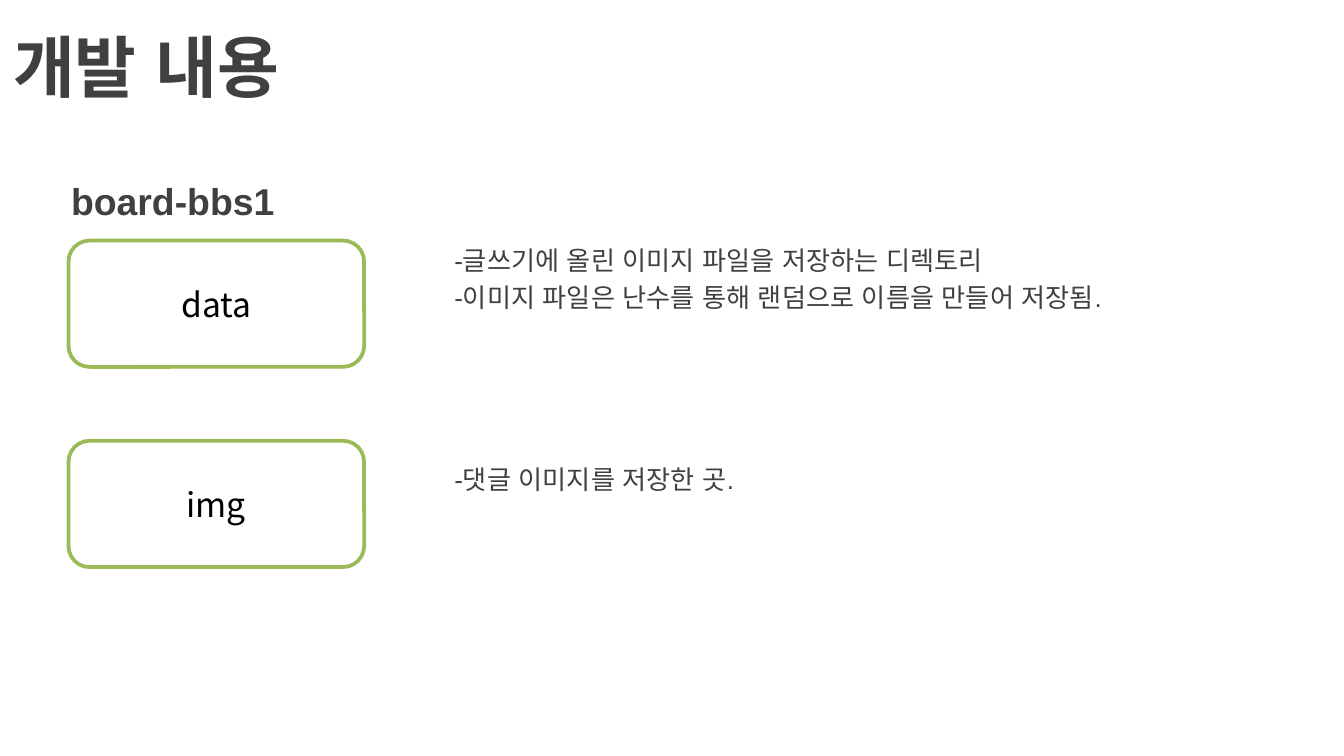
from dataclasses import dataclass

from lxml import etree
from pptx import Presentation
from pptx.dml.color import RGBColor
from pptx.enum import shapes, text
from pptx.oxml import ns
from pptx.util import Inches, Pt

GRAY = RGBColor(0x40, 0x40, 0x40)
GREEN = RGBColor(0x9B, 0xBB, 0x59)
WHITE = RGBColor(0xFF, 0xFF, 0xFF)
BLACK = RGBColor(0, 0, 0)
HEADING_FONT = "Arial"
BOX_FONT = "Noto Sans CJK KR"
SLIDE_WIDTH = Inches(10)
SLIDE_HEIGHT = SLIDE_WIDTH * 9 // 16
BOX_TOP, BOX_PITCH = 1.79, 1.49
NOTE_GAP = 2.8


@dataclass
class Directory:
    name: str
    notes: list[str]
    space_before: float


DIRECTORIES = [
    Directory("data", ["-글쓰기에 올린 이미지 파일을 저장하는 디렉토리",
                       "-이미지 파일은 난수를 통해 랜덤으로 이름을 만들어 저장됨."], 0),
    Directory("img", ["-댓글 이미지를 저장한 곳."], 81),
]


def style(p, size: float, color: RGBColor, font: str, bold: bool = False) -> None:
    """Format every run, using one font for Latin and Korean letters."""
    for r in p.runs:
        r.font.size, r.font.bold, r.font.name = Pt(size), bold, font
        r.font.color.rgb = color
        rpr = r.font._element
        rpr.set("lang", "ko-KR")
        etree.SubElement(rpr, ns.qn("a:ea")).set("typeface", font)


def add_text_box(s, left: float, top: float, width: float, height: float):
    tf = s.shapes.add_textbox(Inches(left), Inches(top), Inches(width), Inches(height)).text_frame
    tf.word_wrap = True
    return tf


def add_heading(s, words: str, left: float, top: float, width: float, height: float,
                size: float) -> None:
    tf = add_text_box(s, left, top, width, height)
    tf.vertical_anchor = text.MSO_ANCHOR.MIDDLE
    tf.text = words
    style(tf.paragraphs[0], size, GRAY, HEADING_FONT, bold=True)


def add_directory_box(s, name: str, top: float) -> None:
    sp = s.shapes.add_shape(shapes.MSO_SHAPE.ROUNDED_RECTANGLE,
                            Inches(0.51), Inches(top), Inches(2.2), Inches(0.94))
    sp.shadow.inherit = False
    sp.fill.solid()
    sp.fill.fore_color.rgb = WHITE
    sp.line.color.rgb = GREEN
    sp.line.width = Pt(2)
    tf = sp.text_frame
    tf.vertical_anchor = text.MSO_ANCHOR.MIDDLE
    tf.text = name
    p = tf.paragraphs[0]
    p.alignment = text.PP_ALIGN.CENTER
    style(p, 18, BLACK, BOX_FONT)


def add_notes(s, directories: list[Directory]) -> None:
    """Write all notes in one box, with a wide gap between directories."""
    tf = add_text_box(s, 2.95, 1.77, 6.69, 3.28)
    tf.margin_left = Inches(0.43)
    tf.text = "\n".join(note for d in directories for note in d.notes)
    gaps = [d.space_before if i == 0 else NOTE_GAP
            for d in directories for i in range(len(d.notes))]
    for p, gap in zip(tf.paragraphs, gaps):
        p.space_before = Pt(gap)
        style(p, 14, GRAY, HEADING_FONT)


def main() -> None:
    prs = Presentation()
    prs.slide_width, prs.slide_height = SLIDE_WIDTH, SLIDE_HEIGHT
    s = prs.slides.add_slide(prs.slide_layouts[6])
    add_heading(s, "board-bbs1", 0.43, 1.24, 9.29, 0.5, 20)
    add_notes(s, DIRECTORIES)
    add_heading(s, "개발 내용", 0, 0, 10, 0.97, 36)
    for i, d in enumerate(DIRECTORIES):
        add_directory_box(s, d.name, BOX_TOP + i * BOX_PITCH)
    prs.save("out.pptx")


if __name__ == "__main__":
    main()
